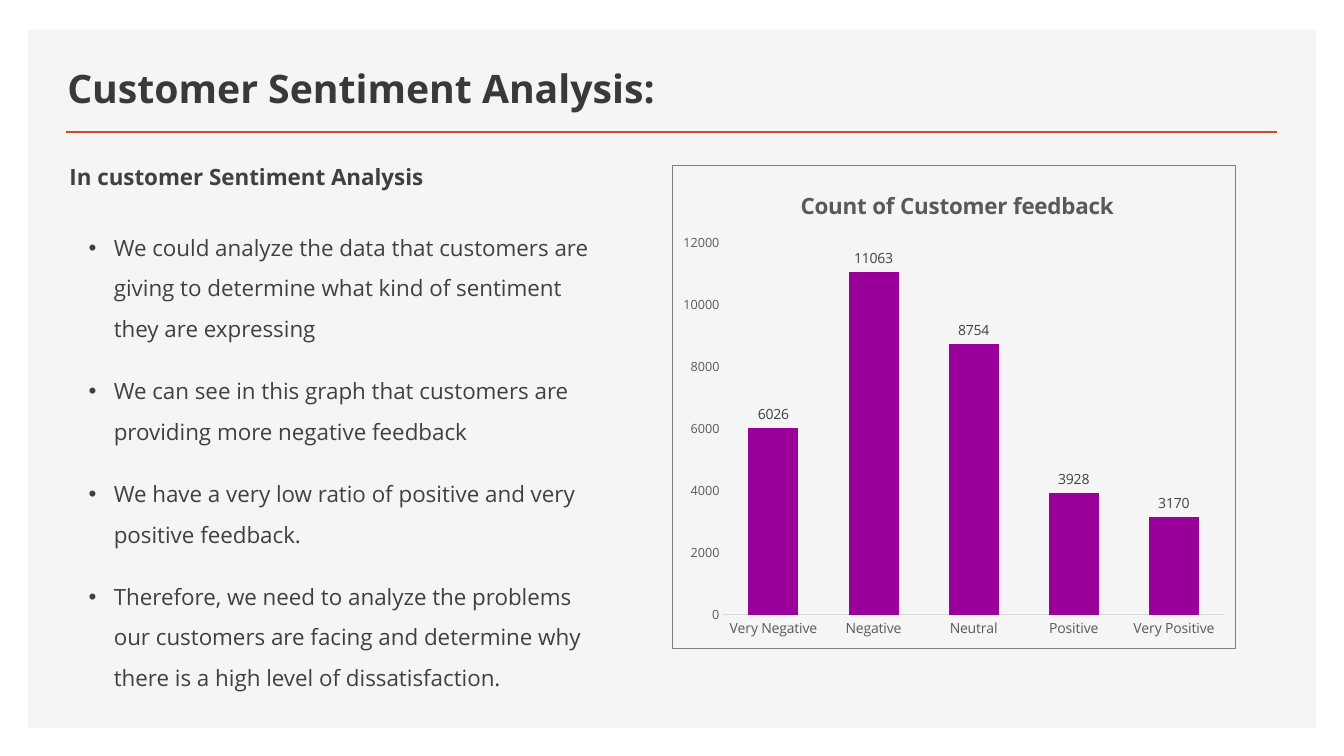
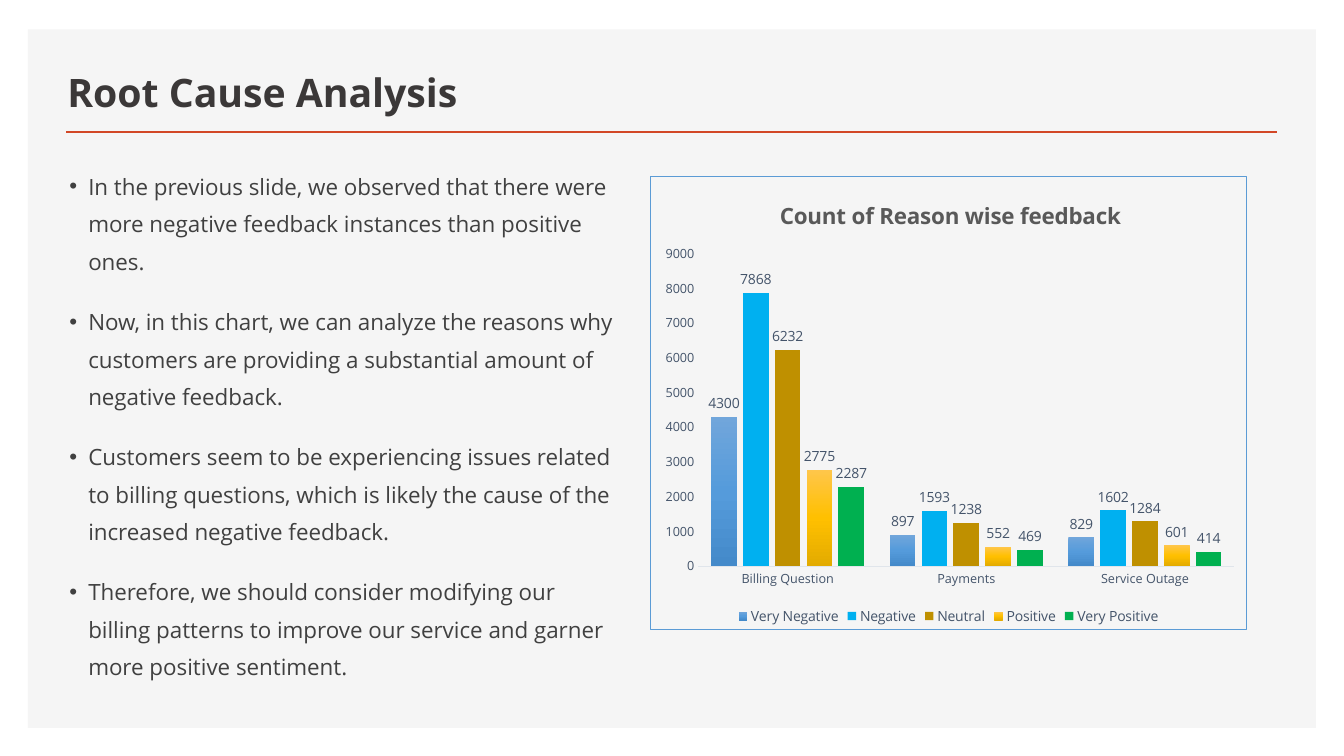
from copy import deepcopy

from lxml import etree
from pptx import Presentation
from pptx.chart.data import CategoryChartData
from pptx.dml.color import RGBColor
from pptx.enum.chart import XL_CHART_TYPE, XL_LABEL_POSITION, XL_LEGEND_POSITION, XL_TICK_MARK
from pptx.enum.shapes import MSO_CONNECTOR, MSO_SHAPE
from pptx.enum.text import MSO_ANCHOR
from pptx.oxml import parse_xml
from pptx.oxml.ns import nsdecls, qn
from pptx.util import Pt

COLUMNS = XL_CHART_TYPE.COLUMN_CLUSTERED
OUTSIDE_END = XL_LABEL_POSITION.OUTSIDE_END
LEGEND_BOTTOM = XL_LEGEND_POSITION.BOTTOM
NO_TICK = XL_TICK_MARK.NONE
STRAIGHT = MSO_CONNECTOR.STRAIGHT
RECTANGLE = MSO_SHAPE.RECTANGLE
TOP, BOTTOM = MSO_ANCHOR.TOP, MSO_ANCHOR.BOTTOM

FONT = "Open Sans"
PANEL_COLOR, RULE_COLOR = "F5F5F5", "D24726"
PANEL_BOX = (20, 21, 920, 499)
RULE_LEFT, RULE_RIGHT, RULE_TOP = 47.5, 912.2, 94.3
TITLE_FORMAT = {"size": 28, "color": "3B3838", "bold": True}
HEADING_FORMAT = {"size": 16, "color": "404040", "bold": True}
BODY_FORMAT = {"size": 16, "color": "404040", "bold": False}
CHART_TITLE_FORMAT = {"size": 16, "color": "595959", "bold": True}
HEADING_SPACING = {"line_spacing": Pt(18), "space_before": Pt(10), "space_after": Pt(20)}

SLIDES = [
    {
        "title": "Customer Sentiment Analysis:",
        "title_top": 29.5,
        "heading": "In customer Sentiment Analysis",
        "body_box": (56.2, 154.1, 388.1, 289.4),
        "line_spacing": 1.5,
        "indent": 18,
        "bullets": [
            "We could analyze the data that customers are giving to determine what kind of sentiment they are expressing",
            "We can see in this graph that customers are providing more negative feedback",
            "We have a very low ratio of positive and very positive feedback.",
            "Therefore, we need to analyze the problems our customers are facing and determine why there is a high level of dissatisfaction.",
        ],
        "chart": {
            "title": "Count of Customer feedback",
            "box": (480.2, 118.1, 402.5, 345.6),
            "title_place": {"x": 0.22, "y": 0.04},
            "plot_place": {"x": 0.09, "y": 0.16, "w": 0.89, "h": 0.77},
            "border": "7F7F7F",
            "axis_line": ("D9D9D9", 1),
            "axis_color": "595959",
            "label_color": "404040",
            "category_size": 10,
            "maximum": 12000,
            "step": 2000,
            "legend": False,
            "categories": ["Very Negative", "Negative", "Neutral", "Positive", "Very Positive"],
            "series": [("Series 1", [6026, 11063, 8754, 3928, 3170], ["990099"])],
        },
    },
    {
        "title": "Root Cause Analysis",
        "title_top": 31.7,
        "heading": None,
        "body_box": (42.5, 112.3, 406.1, 377.3),
        "line_spacing": 1.4,
        "indent": 13.5,
        "bullets": [
            "In the previous slide, we observed that there were more negative feedback instances than positive ones.",
            "Now, in this chart, we can analyze the reasons why customers are providing a substantial amount of negative feedback.",
            "Customers seem to be experiencing issues related to billing questions, which is likely the cause of the increased negative feedback.",
            "Therefore, we should consider modifying our billing patterns to improve our service and garner more positive sentiment.",
        ],
        "chart": {
            "title": "Count of Reason wise feedback",
            "box": (464.4, 126, 426.2, 324),
            "title_place": {"x": 0.21, "y": 0.04},
            "plot_place": {"x": 0.08, "y": 0.17, "w": 0.9, "h": 0.69},
            "border": "5B9BD5",
            "axis_line": ("E0E5EB", 0.75),
            "axis_color": "44546A",
            "label_color": "44546A",
            "category_size": 9,
            "maximum": 9000,
            "step": 1000,
            "legend": True,
            "categories": ["Billing Question", "Payments", "Service Outage"],
            "series": [
                ("Very Negative", [4300, 897, 829], ["71A6DB", "559BDB", "448ACA"]),
                ("Negative", [7868, 1593, 1602], ["00B0F0"]),
                ("Neutral", [6232, 1238, 1284], ["BF9000"]),
                ("Positive", [2775, 552, 601], ["FFC64B", "FFC000", "E3AB00"]),
                ("Very Positive", [2287, 469, 414], ["00B050"]),
            ],
        },
    },
]


def rgb(value):
    return RGBColor.from_string(value)


def points(values):
    return [Pt(value) for value in values]


def set_font(font, size, color, bold=False):
    values = {"name": FONT, "size": Pt(size), "bold": bold}
    for name, value in values.items():
        setattr(font, name, value)
    font.color.rgb = rgb(color)


def add_text(slide, box, texts, text_format, spacing, anchor=TOP, indent=0):
    frame = slide.shapes.add_textbox(*points(box)).text_frame
    frame.word_wrap = True
    frame.vertical_anchor = anchor
    for index, text in enumerate(texts):
        paragraph = frame.add_paragraph() if index else frame.paragraphs[0]
        run = paragraph.add_run()
        run.text = text
        set_font(run.font, **text_format)
        for name, value in spacing.items():
            setattr(paragraph, name, value)
        if indent:
            properties = paragraph._p.get_or_add_pPr()
            properties.set("marL", str(Pt(indent)))
            properties.set("indent", str(-Pt(indent)))
            etree.SubElement(properties, qn("a:buFont")).set("typeface", "Arial")
            etree.SubElement(properties, qn("a:buChar")).set("char", "•")
    return frame


def add_frame(slide, title, title_top):
    panel = slide.shapes.add_shape(RECTANGLE, *points(PANEL_BOX))
    panel.shadow.inherit = False
    panel.fill.solid()
    panel.fill.fore_color.rgb = rgb(PANEL_COLOR)
    panel.line.fill.background()
    rule = slide.shapes.add_connector(STRAIGHT, *points((RULE_LEFT, RULE_TOP, RULE_RIGHT, RULE_TOP)))
    rule.line.color.rgb = rgb(RULE_COLOR)
    rule.line.width = Pt(2)
    etree.SubElement(rule._element.spPr, qn("a:effectLst"))
    frame = add_text(slide, (41, title_top, 541.4, 50.4), [title], TITLE_FORMAT, {}, BOTTOM)
    frame.margin_bottom = 0


def place_part(part, position, place, target=""):
    for layout in part.findall(qn("c:layout")):
        part.remove(layout)
    values = "".join(f'<c:{name} val="{value}"/>' for name, value in place.items())
    part.insert(position, parse_xml(
        f'<c:layout {nsdecls("c")}><c:manualLayout>{target}<c:xMode val="edge"/>'
        f'<c:yMode val="edge"/>{values}</c:manualLayout></c:layout>'))


def area_format(line):
    return parse_xml(f'<c:spPr {nsdecls("c", "a")}><a:noFill/>{line}</c:spPr>')


def fill_series(chart, index, colors):
    fill = chart.plots[0].series[index].format.fill
    if len(colors) == 1:
        fill.solid()
        fill.fore_color.rgb = rgb(colors[0])
        return
    fill.gradient()
    fill.gradient_angle = 270
    stop_list = chart.element.xpath(".//c:ser")[index].xpath(".//a:gsLst")[0]
    stop_list.append(deepcopy(stop_list[0]))
    for number, (stop, color) in enumerate(zip(fill.gradient_stops, colors)):
        stop.position = number / (len(colors) - 1)
        stop.color.rgb = rgb(color)


def add_column_chart(slide, content):
    data = CategoryChartData()
    data.categories = content["categories"]
    for name, values, colors in content["series"]:
        data.add_series(name, values)
    chart = slide.shapes.add_chart(COLUMNS, *points(content["box"]), data).chart
    set_font(chart.font, 10, "000000")

    chart.has_title = True
    title = chart.chart_title.text_frame
    title.text = content["title"]
    set_font(title.paragraphs[0].runs[0].font, **CHART_TITLE_FORMAT)

    axis_sizes = ((chart.category_axis, content["category_size"]), (chart.value_axis, 9))
    for axis, size in axis_sizes:
        axis.has_major_gridlines = False
        axis.major_tick_mark = axis.minor_tick_mark = NO_TICK
        set_font(axis.tick_labels.font, size, content["axis_color"])
    line_color, line_width = content["axis_line"]
    line = chart.category_axis.format.line
    line.color.rgb = rgb(line_color)
    line.width = Pt(line_width)
    chart.value_axis.format.line.fill.background()
    scale = {"minimum_scale": 0, "maximum_scale": content["maximum"], "major_unit": content["step"]}
    for name, value in scale.items():
        setattr(chart.value_axis, name, value)

    plot = chart.plots[0]
    plot.gap_width, plot.overlap = 100, -24
    plot.vary_by_categories = False
    plot.has_data_labels = True
    labels = plot.data_labels
    labels.show_value = True
    labels.position = OUTSIDE_END
    set_font(labels.font, 10, content["label_color"])
    for index, (name, values, colors) in enumerate(content["series"]):
        fill_series(chart, index, colors)

    chart.has_legend = content["legend"]
    if content["legend"]:
        chart.legend.position = LEGEND_BOTTOM
        chart.legend.include_in_layout = False
        set_font(chart.legend.font, 10, content["axis_color"])

    chart_part = chart.element.find(qn("c:chart"))
    plot_area = chart_part.find(qn("c:plotArea"))
    place_part(chart_part.find(qn("c:title")), 1, content["title_place"])
    place_part(plot_area, 0, content["plot_place"], '<c:layoutTarget val="inner"/>')
    plot_area.append(area_format("<a:ln><a:noFill/></a:ln>"))
    chart_part.addnext(area_format(
        f'<a:ln w="{Pt(0.75)}"><a:solidFill><a:srgbClr val="{content["border"]}"/></a:solidFill></a:ln>'))


def main():
    presentation = Presentation()
    presentation.slide_width, presentation.slide_height = Pt(960), Pt(540)
    for content in SLIDES:
        slide = presentation.slides.add_slide(presentation.slide_layouts[6])
        add_frame(slide, content["title"], content["title_top"])
        if content["heading"]:
            add_text(slide, (42.5, 114.5, 402.5, 37.4), [content["heading"]], HEADING_FORMAT, HEADING_SPACING)
        spacing = {"line_spacing": content["line_spacing"], "space_before": Pt(10), "space_after": Pt(6)}
        add_text(slide, content["body_box"], content["bullets"], BODY_FORMAT, spacing, indent=content["indent"])
        add_column_chart(slide, content["chart"])
    presentation.save("out.pptx")


if __name__ == "__main__":
    main()
